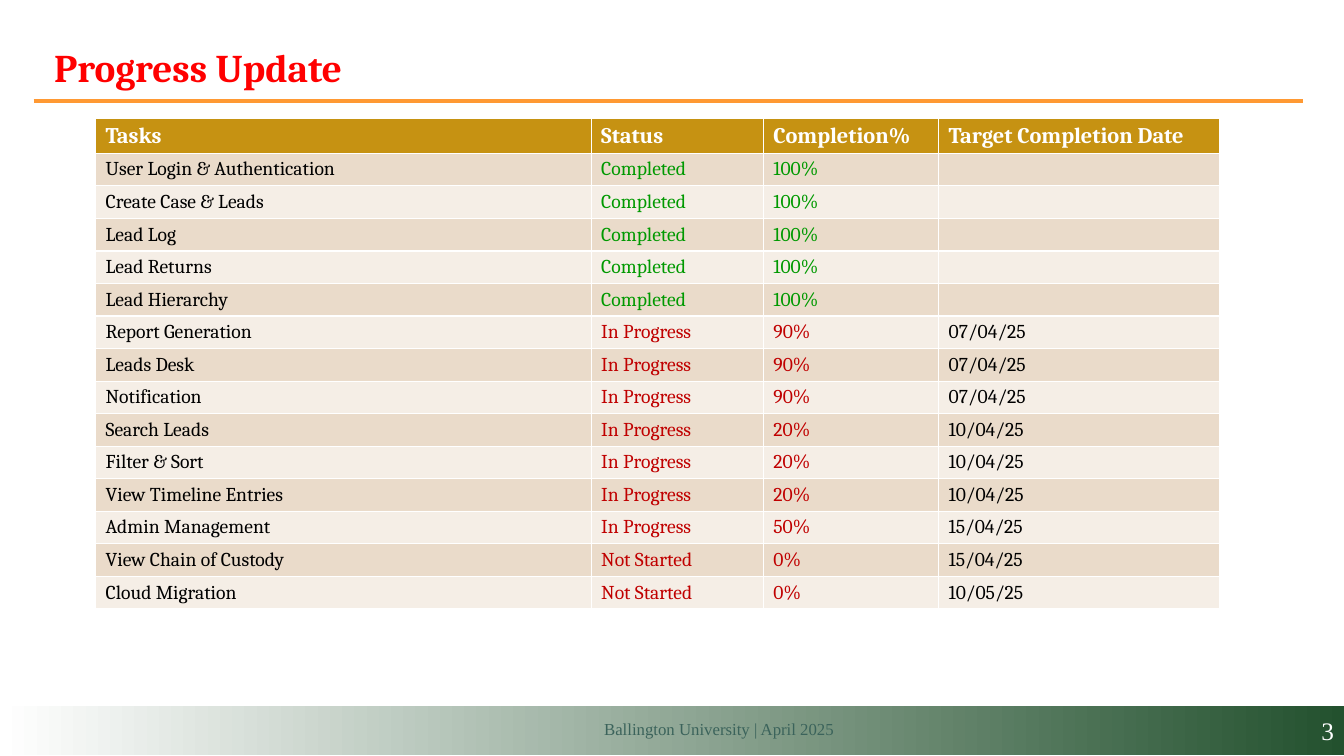
from lxml import etree
from pptx import Presentation
from pptx import util as u
from pptx.dml.color import RGBColor
from pptx.enum import shapes, text
from pptx.oxml.ns import qn

PX = 9525  # EMU per px, 96 px to the inch
HEADING_FONT, FOOTER_FONT = "Cambria", "Times New Roman"
WHITE, BLACK, GREEN, RED = "FFFFFF", "000000", "009900", "C00000"
HEADER_FILL, BAND_FILLS = "C69212", ("EADBCA", "F5EEE6")
COLUMN_WIDTHS = (472, 164, 167, 268)
HEADER_HEIGHT, ROW_HEIGHT = 33, 31

HEADINGS = ("Tasks", "Status", "Completion%", "Target Completion Date")
TASKS = (
    ("User Login & Authentication", "Completed", "100%", ""),
    ("Create Case & Leads", "Completed", "100%", ""),
    ("Lead Log", "Completed", "100%", ""),
    ("Lead Returns", "Completed", "100%", ""),
    ("Lead Hierarchy", "Completed", "100%", ""),
    ("Report Generation", "In Progress", "90%", "07/04/25"),
    ("Leads Desk", "In Progress", "90%", "07/04/25"),
    ("Notification", "In Progress", "90%", "07/04/25"),
    ("Search Leads", "In Progress", "20%", "10/04/25"),
    ("Filter & Sort", "In Progress", "20%", "10/04/25"),
    ("View Timeline Entries", "In Progress", "20%", "10/04/25"),
    ("Admin Management", "In Progress", "50%", "15/04/25"),
    ("View Chain of Custody", "Not Started", "0%", "15/04/25"),
    ("Cloud Migration", "Not Started", "0%", "10/05/25"),
)


def px(*lengths):
    return [u.Emu(length * PX) for length in lengths]


def rgb(value):
    return RGBColor.from_string(value)


def write(frame, words, font, size, color, bold=False, align=text.PP_ALIGN.LEFT):
    frame.text = words
    paragraph = frame.paragraphs[0]
    paragraph.alignment = align
    paragraph.font.name = font
    paragraph.font.size = u.Pt(size)
    paragraph.font.bold = bold
    paragraph.font.color.rgb = rgb(color)
    return paragraph


def set_title(slide, words):
    title = slide.shapes.title
    title.left, title.top, title.width, title.height = px(42, 30, 1189, 67)
    title.text_frame.vertical_anchor = text.MSO_ANCHOR.MIDDLE
    write(title.text_frame, words, HEADING_FONT, 28, "FF0000", bold=True)


def add_title_rule(slide):
    rule = slide.shapes.add_connector(
        shapes.MSO_CONNECTOR.STRAIGHT, *px(32, 96, 1241, 96))
    rule.line.color.rgb = rgb("FF9933")
    rule.line.width = u.Pt(3)
    etree.SubElement(rule._element.spPr, qn("a:effectLst"))


def add_footer_band(slide, slide_number):
    band = slide.shapes.add_shape(
        shapes.MSO_SHAPE.RECTANGLE, *px(0, 672, 1280, 47))
    band.shadow.inherit = False
    band.line.fill.background()
    band.fill.gradient()
    band.fill.gradient_angle = 0
    for stop, color in zip(band.fill.gradient_stops, (WHITE, "23512E")):
        stop.color.rgb = rgb(color)
    band.text_frame.vertical_anchor = text.MSO_ANCHOR.MIDDLE
    write(band.text_frame, slide_number, FOOTER_FONT, 18, WHITE,
          align=text.PP_ALIGN.RIGHT)


def add_footer_text(slide, words):
    footer = slide.shapes.add_textbox(*px(516, 680, 288, 29)).text_frame
    footer.word_wrap = True
    write(footer, words, FOOTER_FONT, 12, "3B635B", align=text.PP_ALIGN.RIGHT)


def fill_cell(cell, words, size, color, fill, bold=False):
    cell.fill.solid()
    cell.fill.fore_color.rgb = rgb(fill)
    cell.vertical_anchor = text.MSO_ANCHOR.MIDDLE
    cell.margin_top, cell.margin_bottom = px(1, 1)
    paragraph = write(cell.text_frame, words, HEADING_FONT, size, color, bold)
    if not words:  # keeps an empty cell from stretching its row
        etree.SubElement(paragraph._p, qn("a:endParaRPr"), sz=str(size * 100))


def add_progress_table(slide):
    height = HEADER_HEIGHT + ROW_HEIGHT * len(TASKS)
    table = slide.shapes.add_table(
        len(TASKS) + 1, len(HEADINGS),
        *px(91, 113, sum(COLUMN_WIDTHS), height)).table
    for column, width in zip(table.columns, px(*COLUMN_WIDTHS)):
        column.width = width
    row_heights = [HEADER_HEIGHT] + [ROW_HEIGHT] * len(TASKS)
    for row, row_height in zip(table.rows, px(*row_heights)):
        row.height = row_height

    for col, heading in enumerate(HEADINGS):
        fill_cell(table.cell(0, col), heading, 16, WHITE, HEADER_FILL, bold=True)
    for row, task in enumerate(TASKS, 1):
        status_color = GREEN if task[1] == "Completed" else RED
        colors = (BLACK, status_color, status_color, BLACK)
        for col, (words, color) in enumerate(zip(task, colors)):
            fill_cell(table.cell(row, col), words, 14, color,
                      BAND_FILLS[(row - 1) % 2])


def main():
    deck = Presentation()
    deck.slide_width, deck.slide_height = px(1280, 720)
    slide = deck.slides.add_slide(deck.slide_layouts[5])
    add_title_rule(slide)
    add_footer_band(slide, "3")
    add_footer_text(slide, "Ballington University | April 2025")
    set_title(slide, "Progress Update")
    add_progress_table(slide)
    deck.save("out.pptx")


if __name__ == "__main__":
    main()
